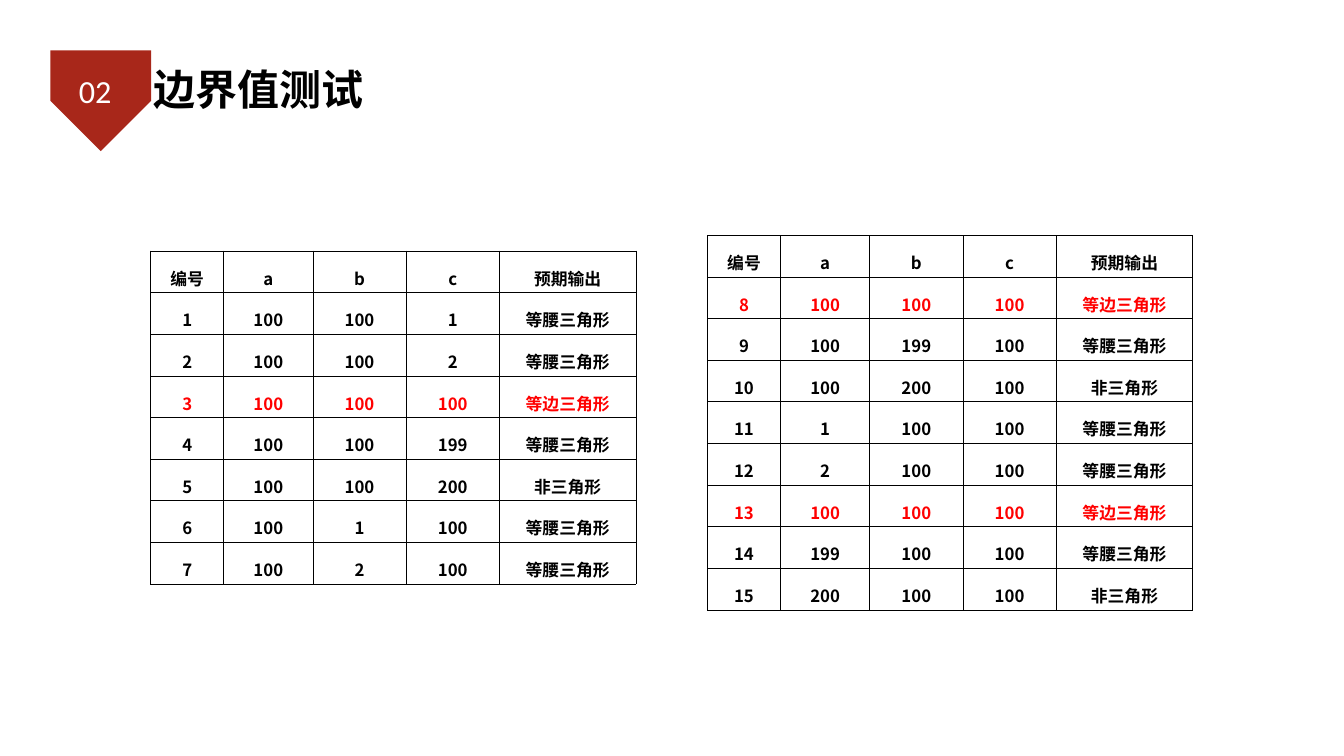
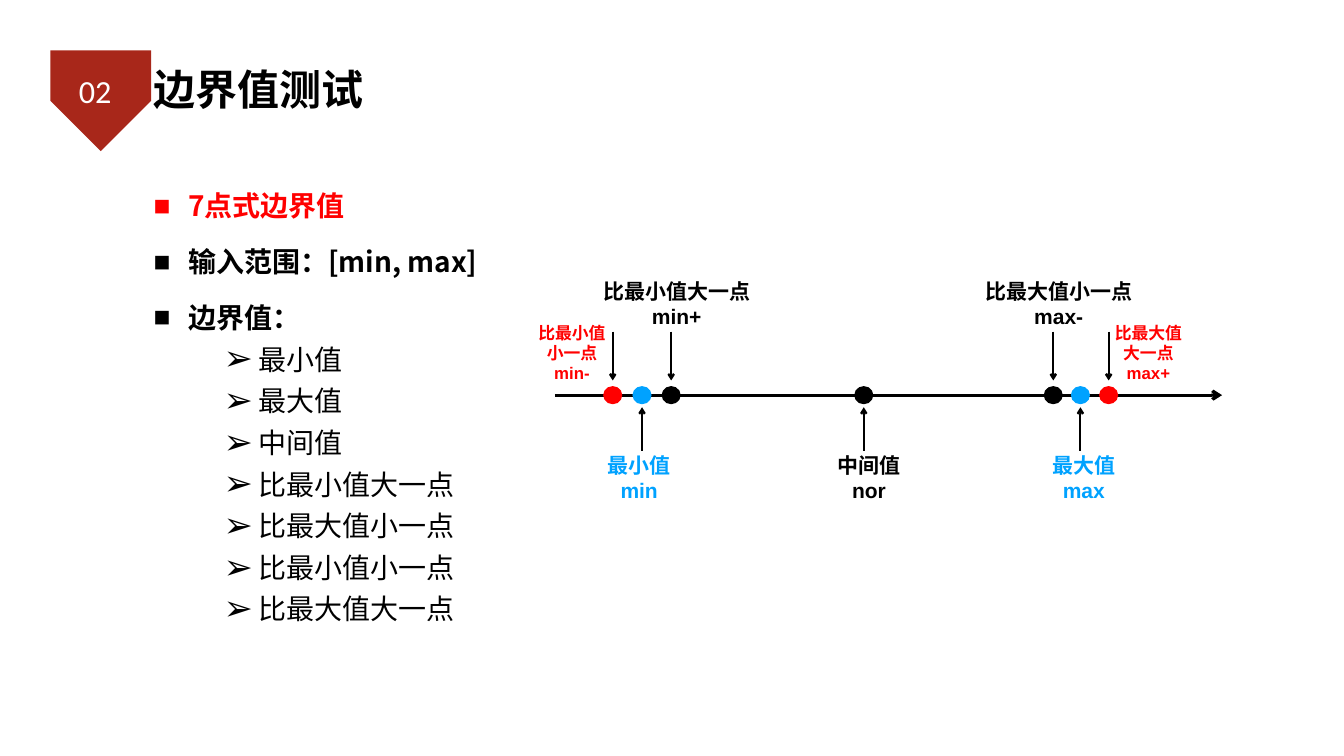
from itertools import chain
from math import cos, pi, sin

from lxml.etree import SubElement
from pptx import Presentation
from pptx.dml.color import RGBColor
from pptx.enum.shapes import MSO_CONNECTOR, MSO_SHAPE
from pptx.enum.text import MSO_ANCHOR, MSO_AUTO_SIZE, PP_ALIGN
from pptx.oxml import parse_xml
from pptx.oxml.ns import nsdecls, qn
from pptx.util import Inches, Pt

RED, BLUE, BLACK, WHITE, BRICK = "FF0000", "00A2FF", "000000", "FFFFFF", "A8271A"
CJK, LATIN = "Noto Sans CJK SC", "Arial"
color = RGBColor.from_string

prs = Presentation()
prs.slide_width, prs.slide_height = Inches(26.67), Inches(15)


def place(left, top, width, height):
    """Turn percentages of the slide's width and height into lengths."""
    across, down = prs.slide_width / 100, prs.slide_height / 100
    return int(left * across), int(top * down), int(width * across), int(height * down)


def write(paragraph, text, size, font, hex_color, bold=True):
    run = paragraph.add_run()
    run.text = text
    run.font.size, run.font.name, run.font.bold = Pt(size), font, bold
    run.font.color.rgb = color(hex_color)
    if font == CJK:
        SubElement(run.font._element, qn("a:ea")).set("typeface", font)


# Shared heading: hexagon badge on the layout, title and section number
cases_slide = prs.slides.add_slide(prs.slide_layouts[5])
points_slide = prs.slides.add_slide(prs.slide_layouts[1])
center_x, center_y, radius, cut = 1.86, 1.81, 0.92, 0.11
corners = [(center_x + radius * sin(k * pi / 3), center_y - radius * cos(k * pi / 3))
           for k in range(6)]
outline = []
for k, (x, y) in enumerate(corners):
    (x0, y0), (x1, y1) = corners[k - 1], corners[(k + 1) % 6]
    for step in range(7):
        t = step / 6
        before, after = cut * (1 - t) ** 2, cut * t ** 2
        outline.append((x + before * (x0 - x) + after * (x1 - x),
                        y + before * (y0 - y) + after * (y1 - y)))

for slide in (cases_slide, points_slide):
    builder = slide.shapes.build_freeform(*outline[0], scale=Inches(1))
    builder.add_line_segments(outline[1:], close=True)
    badge = builder.convert_to_shape()
    badge.shadow.inherit = False
    badge.fill.solid()
    badge.fill.fore_color.rgb = color(BRICK)
    badge.line.fill.background()
    slide.slide_layout.shapes.element.insert(2, badge.element)

    title = slide.shapes.title
    title.left, title.top, title.width, title.height = place(11.21, 7.87, 22.57, 7.6)
    number = slide.shapes.add_textbox(*place(3.82, 8.47, 6.52, 7))
    for shape, inset in ((title, 0.06), (number, 0.05)):
        frame = shape.text_frame
        frame.word_wrap, frame.auto_size = True, MSO_AUTO_SIZE.NONE
        frame.vertical_anchor = MSO_ANCHOR.MIDDLE
        frame.margin_left = frame.margin_right = Inches(inset)
        frame.margin_top = frame.margin_bottom = Inches(inset)
    heading = title.text_frame.paragraphs[0]
    heading.alignment = PP_ALIGN.LEFT
    write(heading, "边界值测试", 60, CJK, BLACK)
    section = number.text_frame.paragraphs[0]
    section.alignment = PP_ALIGN.CENTER
    write(section, "02", 46, "Calibri", WHITE, bold=False)

# Slide 1: test cases in two tables, equilateral cases in red
header = ("编号", "a", "b", "c", "预期输出")
isosceles, equilateral, none = "等腰三角形", "等边三角形", "非三角形"
cases = [
    (1, 100, 100, 1, isosceles),
    (2, 100, 100, 2, isosceles),
    (3, 100, 100, 100, equilateral),
    (4, 100, 100, 199, isosceles),
    (5, 100, 100, 200, none),
    (6, 100, 1, 100, isosceles),
    (7, 100, 2, 100, isosceles),
    (8, 100, 100, 100, equilateral),
    (9, 100, 199, 100, isosceles),
    (10, 100, 200, 100, none),
    (11, 1, 100, 100, isosceles),
    (12, 2, 100, 100, isosceles),
    (13, 100, 100, 100, equilateral),
    (14, 199, 100, 100, isosceles),
    (15, 200, 100, 100, none),
]
column_widths = (1.45, 1.77, 1.85, 1.85, 2.71)
for left, top, height, part in ((11.21, 33.2, 33.53, cases[:7]),
                                (52.64, 31.13, 37.73, cases[7:])):
    rows = [header, *part]
    table = cases_slide.shapes.add_table(
        len(rows), len(header), *place(left, top, 36.11, height)).table
    table.first_row = table.horz_banding = False
    for column, width in zip(table.columns, column_widths):
        column.width = Inches(width)
    for r, values in enumerate(rows):
        table.rows[r].height = Inches(0.43 if r else 0.61)
        ink = RED if values[-1] == equilateral else BLACK
        for c, value in enumerate(values):
            cell = table.cell(r, c)
            for i, side in enumerate(("lnL", "lnR", "lnT", "lnB")):
                cell._tc.get_or_add_tcPr().insert(i, parse_xml(
                    f'<a:{side} {nsdecls("a")} w="12700"><a:solidFill>'
                    f'<a:srgbClr val="{BLACK}"/></a:solidFill></a:{side}>'))
            cell.fill.background()
            entry = cell.text_frame.paragraphs[0]
            entry.alignment, entry.line_spacing = PP_ALIGN.CENTER, 1.5
            indents = entry._p.get_or_add_pPr()
            indents.set("marL", str(Inches(0.38)))
            indents.set("indent", str(-Inches(0.38)))
            write(entry, str(value), 24, CJK, ink)

# Slide 2: outline of the seven points
outline_items = [
    (0, "7点式边界值", RED),
    (0, "输入范围：[min, max]", BLACK),
    (0, "边界值：", BLACK),
    *((2, name, BLACK) for name in (
        "最小值", "最大值", "中间值", "比最小值大一点",
        "比最大值小一点", "比最小值小一点", "比最大值大一点")),
]
# level: bullet, bullet size, text indent, line spacing
level_styles = {0: ("■", 100, 0.69, 1.66), 2: ("➢", 125, 2.08, 1.24)}
points = points_slide.placeholders[1]
points.left, points.top, points.width, points.height = place(11.21, 19.4, 33.56, 72.67)
frame = points.text_frame
frame.word_wrap, frame.auto_size = True, MSO_AUTO_SIZE.NONE
frame.vertical_anchor = MSO_ANCHOR.MIDDLE
frame.margin_left = frame.margin_right = frame.margin_top = Inches(0.06)
frame.margin_bottom = Inches(1.06)
for i, (level, text, ink) in enumerate(outline_items):
    item = frame.add_paragraph() if i else frame.paragraphs[0]
    bullet, bullet_size, indent, spacing = level_styles[level]
    item.level, item.alignment = level, PP_ALIGN.LEFT
    item.line_spacing, item.space_before = spacing, Pt(0)
    props = item._p.get_or_add_pPr()
    props.set("marL", str(Inches(indent)))
    props.set("indent", str(-Inches(0.69)))
    SubElement(props, qn("a:buSzPct")).set("val", str(bullet_size * 1000))
    SubElement(props, qn("a:buFont")).set("typeface", LATIN)
    SubElement(props, qn("a:buChar")).set("char", bullet)
    write(item, text, 40, CJK, ink, bold=level == 0)

# Number line: label rows give top, height, width by kind, text size, pointer ends
label_rows = {
    "above": (36.4, 7.47, 11.47, 30, 43.87, 50.33),
    "beside": (42.27, 8.8, 5.47, 24, 43.87, 50.33),
    "below": (59.47, 7.47, 5.14, 30, 59.6, 53.87),
}
# dot centre, label left, label row, colour, label lines
marks = [
    (47.77, 44.99, "below", BLUE, ("最小值", "min")),
    (80.39, 78.07, "below", BLUE, ("最大值", "max")),
    (49.94, 44.62, "above", BLACK, ("比最小值大一点", "min+")),
    (78.37, 73.04, "above", BLACK, ("比最大值小一点", "max-")),
    (64.27, 62.09, "below", BLACK, ("中间值", "nor")),
    (45.59, 39.82, "beside", RED, ("比最小值", "小一点", "min-")),
    (82.49, 82.71, "beside", RED, ("比最大值", "大一点", "max+")),
]
axis_y, dot_width, dot_height = 52.27, 1.42, 2.4

# Axis and pointers
axis = (41.28, axis_y, 90.93, axis_y, 4.5)
pointers = ((x, label_rows[row][4], x, label_rows[row][5], 3) for x, _, row, _, _ in marks)
for *ends, weight in chain([axis], pointers):
    arrow = points_slide.shapes.add_connector(MSO_CONNECTOR.STRAIGHT, *place(*ends))
    arrow.line.width = Pt(weight)
    arrow.line.color.rgb = color(BLACK)
    SubElement(arrow.line._get_or_add_ln(), qn("a:tailEnd")).set("type", "arrow")
    SubElement(arrow._element.spPr, qn("a:effectLst"))

# Dots and their labels
for x, label_left, row, ink, lines in marks:
    dot = points_slide.shapes.add_shape(MSO_SHAPE.OVAL, *place(
        x - dot_width / 2, axis_y - dot_height / 2, dot_width, dot_height))
    dot.shadow.inherit = False
    dot.fill.solid()
    dot.fill.fore_color.rgb = color(ink)
    dot.line.fill.background()

    top, height, width, size, _, _ = label_rows[row]
    label = points_slide.shapes.add_textbox(*place(label_left, top, width, height))
    frame = label.text_frame
    frame.word_wrap, frame.auto_size = False, MSO_AUTO_SIZE.SHAPE_TO_FIT_TEXT
    frame.vertical_anchor = MSO_ANCHOR.MIDDLE
    frame.margin_left = frame.margin_right = Inches(0.06)
    frame.margin_top = frame.margin_bottom = Inches(0.06)
    for i, text in enumerate(lines):
        line = frame.add_paragraph() if i else frame.paragraphs[0]
        line.alignment = PP_ALIGN.CENTER
        write(line, text, size, LATIN, ink)

prs.save("out.pptx")
